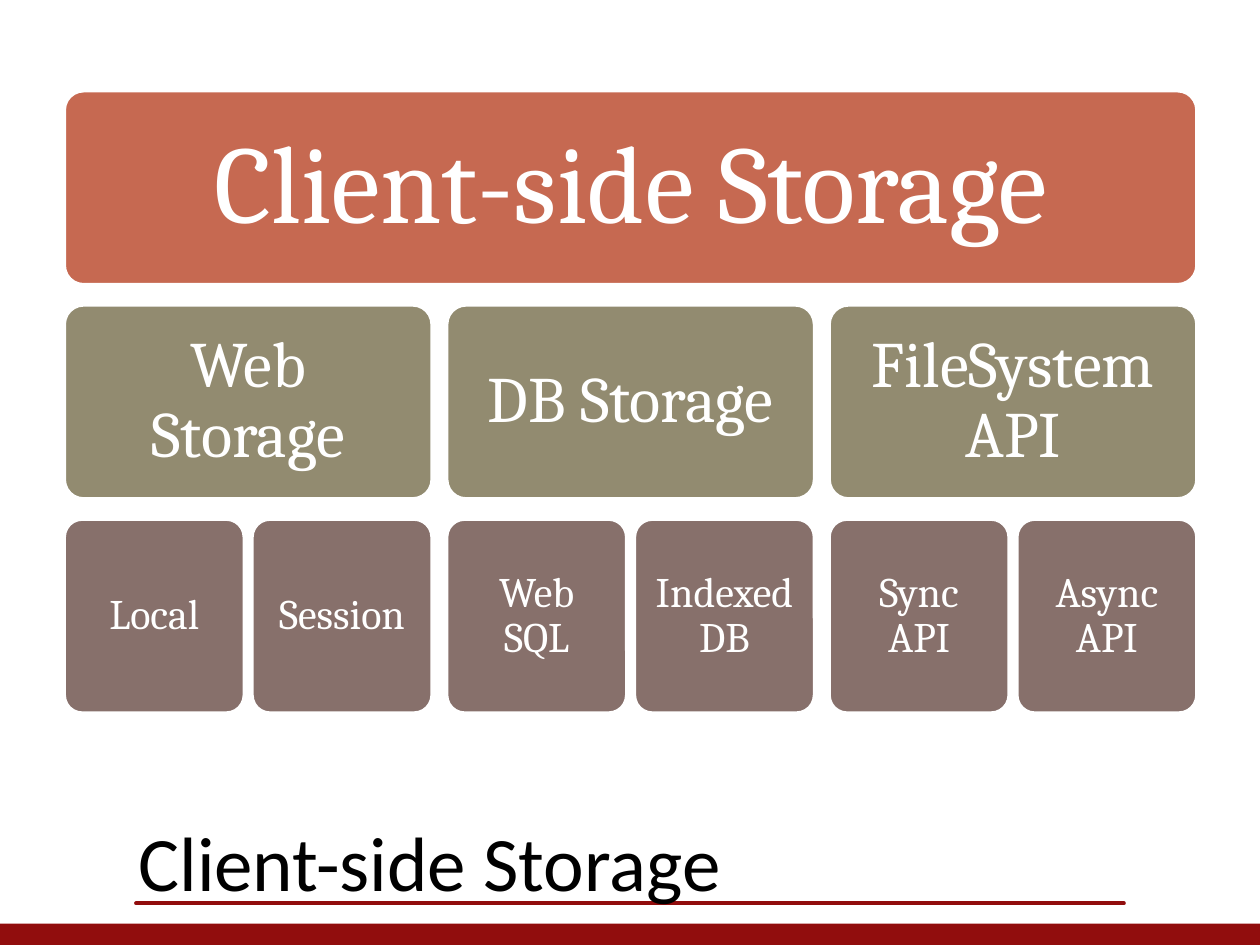
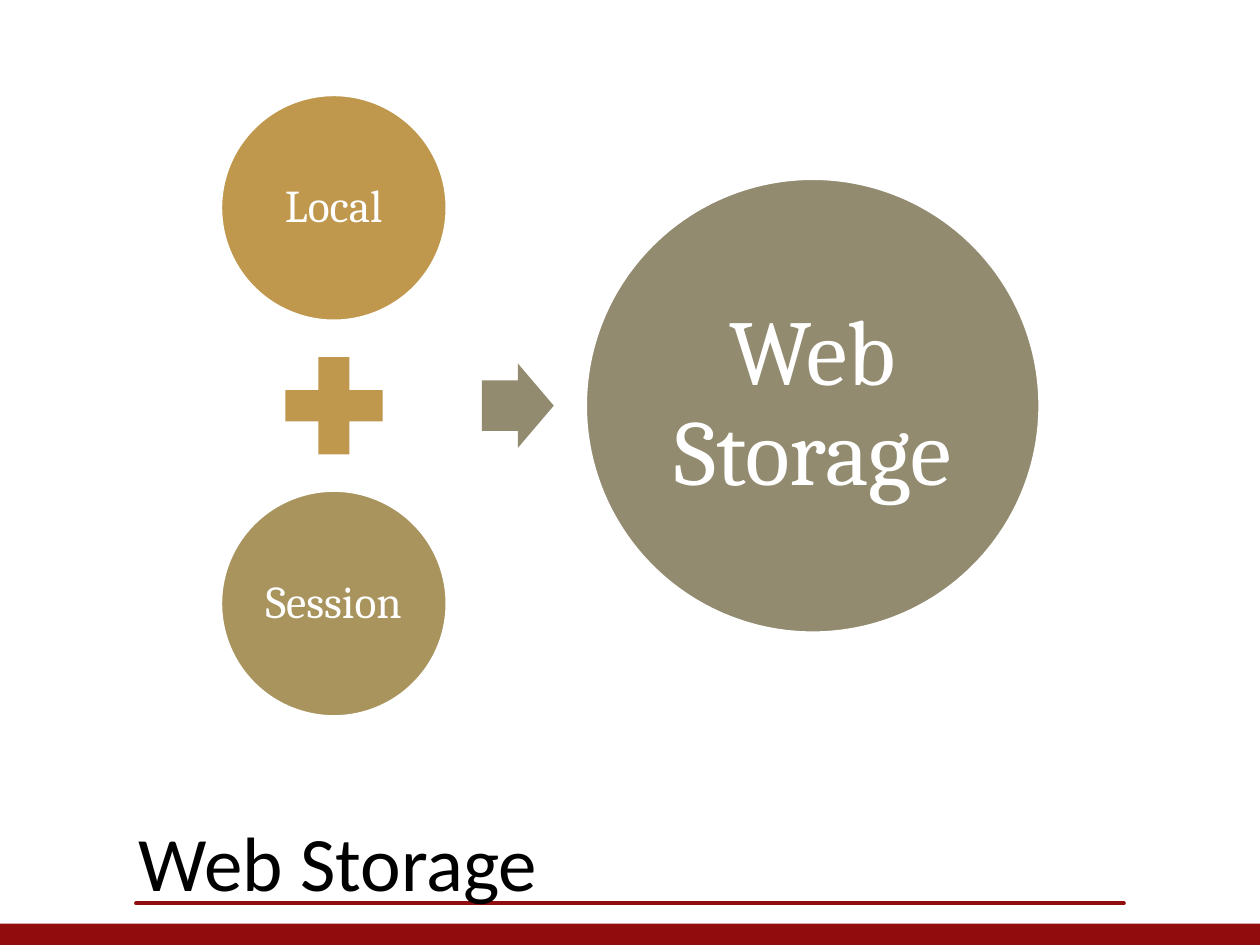
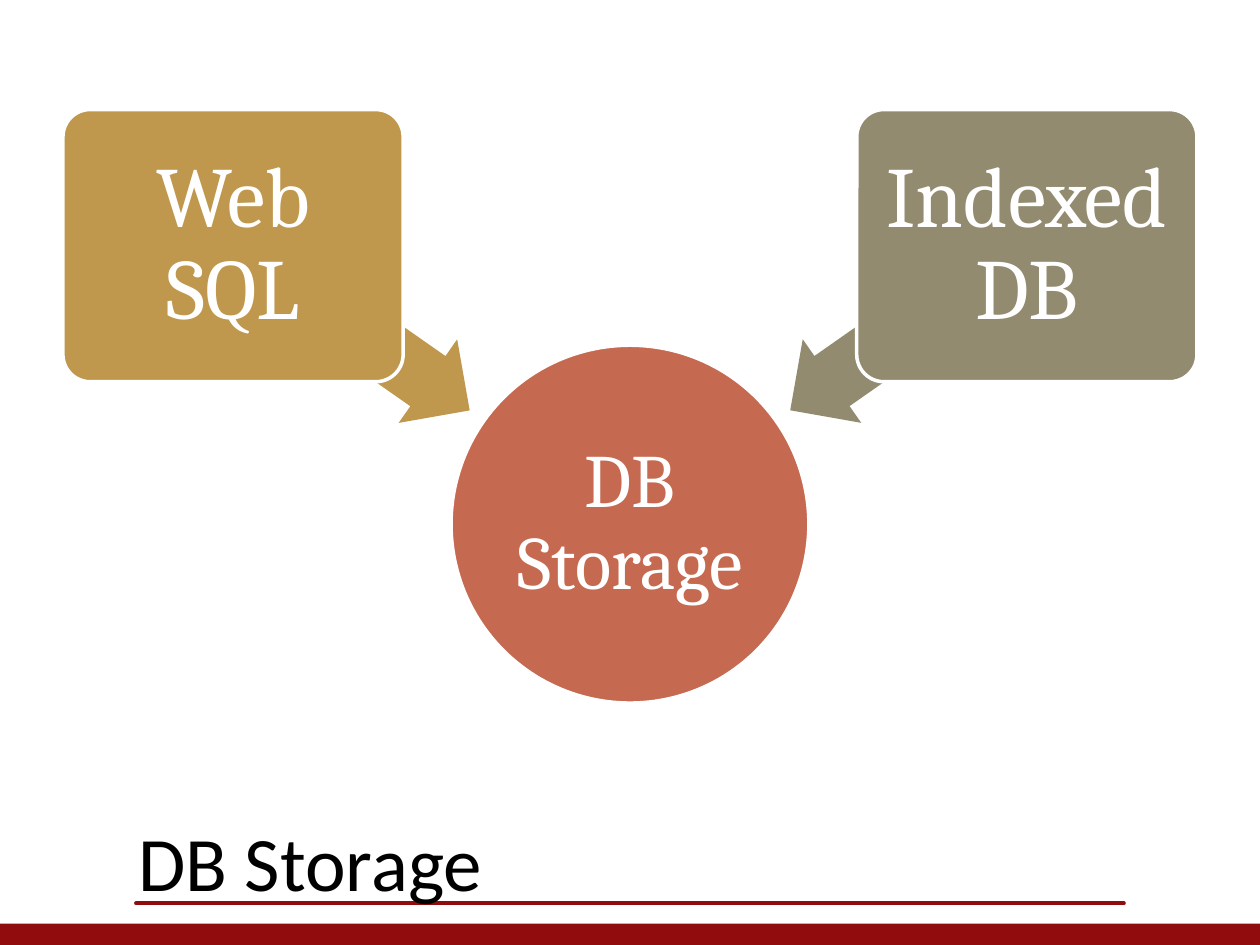
from dataclasses import dataclass

from lxml import etree
from pptx import Presentation, util as u
from pptx.dml.color import RGBColor
from pptx.enum import shapes, text
from pptx.oxml.ns import qn


@dataclass(frozen=True)
class Theme:
    title_font: str = "Calibri"
    body_font: str = "Cambria"
    black: str = "000000"
    white: str = "FFFFFF"
    maroon: str = "910D0D"
    coral: str = "C66951"
    olive: str = "928B70"
    mauve: str = "87706B"
    gold: str = "BF974D"
    khaki: str = "A9945E"
    title_size: int = 44
    root_size: int = 63
    group_size: int = 37
    leaf_size: int = 24
    part_size: int = 26
    sum_size: int = 53
    source_size: int = 49
    target_size: int = 43
    rule_width: float = 2.25
    outline_width: float = 2


THEME = Theme()
KIND = shapes.MSO_SHAPE
WIDTH, HEIGHT = 10, 7.5
MIDDLE = WIDTH / 2


def rgb(name):
    return RGBColor.from_string(getattr(THEME, name))


def style_paragraph(paragraph, font_name, size, color):
    paragraph.font.name = font_name
    paragraph.font.size = u.Pt(size)
    paragraph.font.color.rgb = rgb(color)


def add_figure(slide, kind, centre, size, fill, adjustments=(), rotation=0):
    """Draw a filled shape without outline around its centre, in inches."""
    (x, y), (width, height) = centre, size
    figure = slide.shapes.add_shape(
        kind, u.Inches(x - width / 2), u.Inches(y - height / 2),
        u.Inches(width), u.Inches(height))
    figure.shadow.inherit = False
    figure.fill.solid()
    figure.fill.fore_color.rgb = rgb(fill)
    figure.line.fill.background()
    for index, value in enumerate(adjustments):
        figure.adjustments[index] = value
    figure.rotation = rotation
    return figure


def add_node(slide, kind, centre, size, fill, label, font_size, inset):
    """Draw a white-edged shape with a centred label."""
    adjustments = (0.1,) if kind == KIND.ROUNDED_RECTANGLE else ()
    node = add_figure(slide, kind, centre, size, fill, adjustments)
    node.line.color.rgb = rgb("white")
    node.line.width = u.Pt(THEME.outline_width)
    frame = node.text_frame
    frame.word_wrap = True
    frame.vertical_anchor = text.MSO_ANCHOR.MIDDLE
    frame.margin_left = frame.margin_right = u.Inches(inset)
    frame.margin_top = frame.margin_bottom = u.Inches(inset)
    paragraph = frame.paragraphs[0]
    paragraph.text = label
    paragraph.alignment = text.PP_ALIGN.CENTER
    paragraph.line_spacing = 0.9
    style_paragraph(paragraph, THEME.body_font, font_size, "white")


def add_circle(slide, centre, diameter, *label_style):
    add_node(slide, KIND.OVAL, centre, (diameter, diameter), *label_style)


def add_titled_slide(deck, title):
    """Add a slide with the bottom band, the rule and the title."""
    slide = deck.slides.add_slide(deck.slide_layouts[6])
    band = 0.17
    add_figure(slide, KIND.RECTANGLE, (MIDDLE, HEIGHT - band / 2), (WIDTH, band), "maroon")

    rule_margin, rule_y = 1.08, u.Inches(7.17)
    rule = slide.shapes.add_connector(
        shapes.MSO_CONNECTOR.STRAIGHT, u.Inches(rule_margin), rule_y,
        u.Inches(WIDTH - rule_margin), rule_y)
    rule.line.color.rgb = rgb("maroon")
    rule.line.width = u.Pt(THEME.rule_width)
    rule.line._get_or_add_ln().set("cap", "rnd")
    etree.SubElement(rule._element.spPr, qn("a:effectLst"))

    heading = slide.shapes.add_textbox(
        u.Inches(1), u.Inches(6), u.Inches(WIDTH - 2), u.Inches(1.25))
    frame = heading.text_frame
    frame.word_wrap = True
    frame.vertical_anchor = text.MSO_ANCHOR.BOTTOM
    frame.paragraphs[0].text = title
    style_paragraph(frame.paragraphs[0], THEME.title_font, THEME.title_size, "black")
    return slide


def build_storage_tree(deck):
    slide = add_titled_slide(deck, "Client-side Storage")
    groups = {
        "Web Storage": ("Local", "Session"),
        "DB Storage": ("Web SQL", "Indexed DB"),
        "FileSystem API": ("Sync API", "Async API"),
    }
    left, tree_width, row_height = 0.51, 8.99, 1.54
    group_width, leaf_width = 2.92, 1.43
    group_pitch = (tree_width - group_width) / (len(groups) - 1)
    root_y, group_y, leaf_y = (1.49 + 1.7 * row for row in range(3))

    def add_box(x, y, width, *label_style):
        add_node(slide, KIND.ROUNDED_RECTANGLE, (x + width / 2, y),
                 (width, row_height), *label_style)

    add_box(left, root_y, tree_width, "coral", "Client-side Storage", THEME.root_size, 0.26)
    for column, (group, leaves) in enumerate(groups.items()):
        group_x = left + column * group_pitch
        add_box(group_x, group_y, group_width, "olive", group, THEME.group_size, 0.15)
        leaf_pitch = (group_width - leaf_width) / (len(leaves) - 1)
        for position, leaf in enumerate(leaves):
            add_box(group_x + position * leaf_pitch, leaf_y, leaf_width,
                    "mauve", leaf, THEME.leaf_size, 0.1)


def build_web_storage_sum(deck):
    slide = add_titled_slide(deck, "Web Storage")
    parts_x, axis_y, part_offset = 2.65, 3.22, 1.57
    add_circle(slide, (parts_x, axis_y - part_offset), 1.8,
               "gold", "Local", THEME.part_size, 0.04)
    add_figure(slide, KIND.MATH_PLUS, (parts_x, axis_y), (1.05, 1.05), "gold")
    add_circle(slide, (parts_x, axis_y + part_offset), 1.8,
               "khaki", "Session", THEME.part_size, 0.04)
    add_figure(slide, KIND.RIGHT_ARROW, (4.11, axis_y), (0.57, 0.67), "olive", (0.6, 0.5))
    add_circle(slide, (6.45, axis_y), 3.61,
               "olive", "Web Storage", THEME.sum_size, 0.07)


def build_db_storage_merge(deck):
    slide = add_titled_slide(deck, "DB Storage")
    add_circle(slide, (MIDDLE, 4.16), 2.84, "coral", "DB Storage", THEME.target_size, 0.03)
    sources = ((-1, 215, "gold", "Web SQL"), (1, 325, "olive", "Indexed DB"))
    for side, rotation, color, label in sources:
        add_figure(slide, KIND.LEFT_ARROW, (MIDDLE + side * 2.21, 2.6), (2.29, 0.81),
                   color, (0.6, 0.5), rotation)
        add_node(slide, KIND.ROUNDED_RECTANGLE, (MIDDLE + side * 3.15, 1.95), (2.7, 2.16),
                 color, label, THEME.source_size, 0.1)


def main():
    deck = Presentation()
    deck.slide_width, deck.slide_height = u.Inches(WIDTH), u.Inches(HEIGHT)
    build_storage_tree(deck)
    build_web_storage_sum(deck)
    build_db_storage_merge(deck)
    deck.save("out.pptx")


if __name__ == "__main__":
    main()
